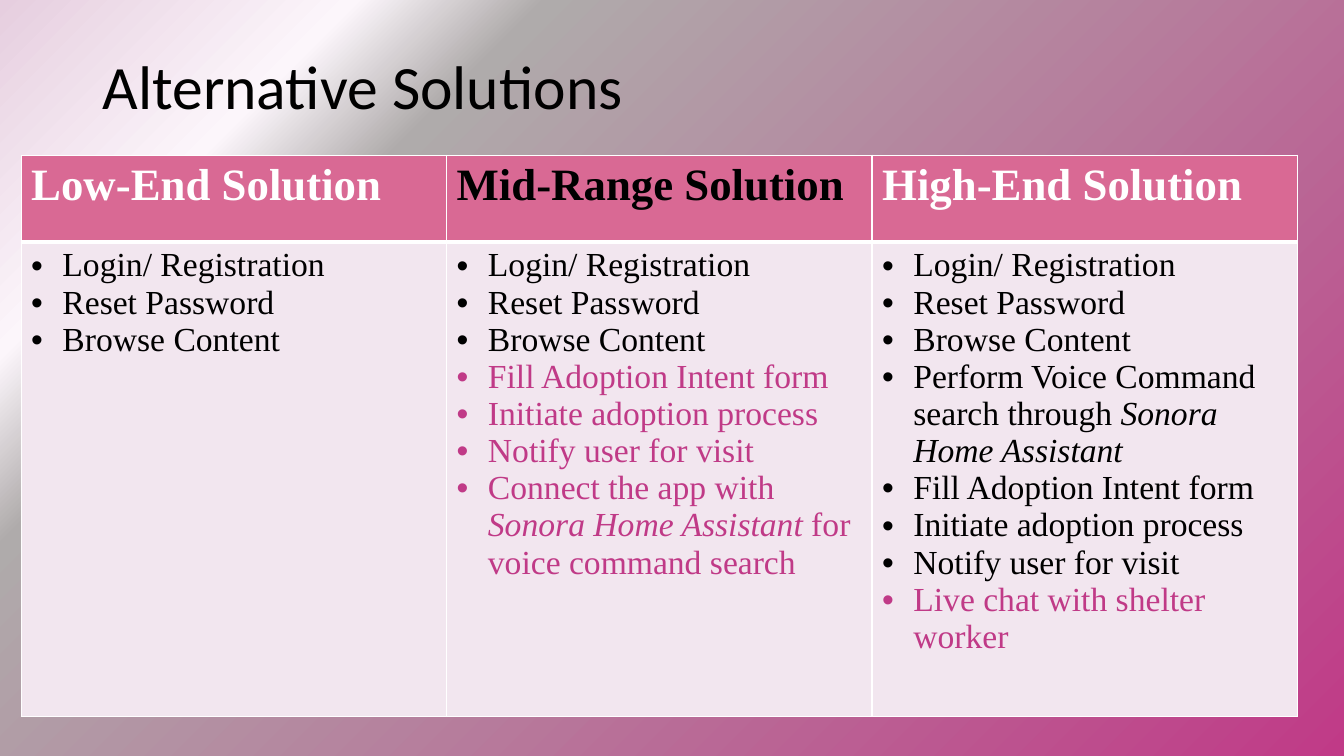
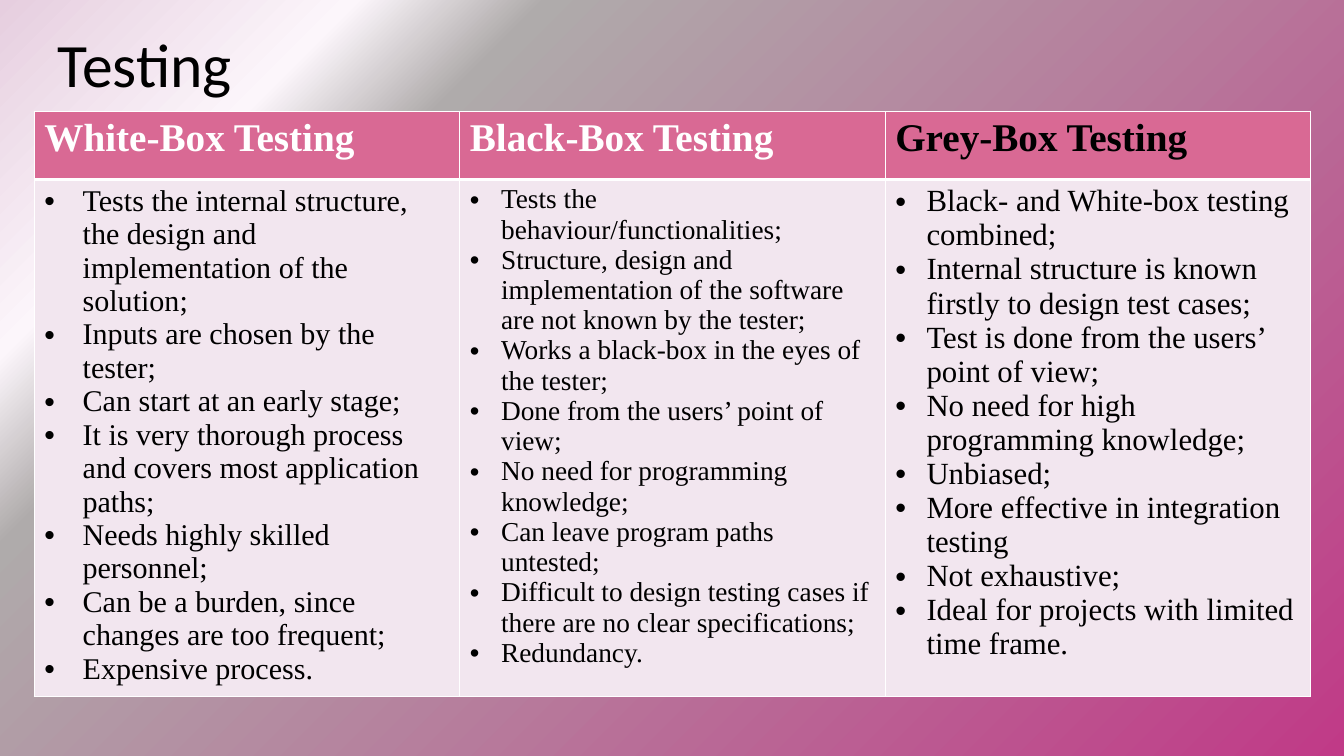
from dataclasses import dataclass

from pptx import Presentation
from pptx.dml.color import RGBColor
from pptx.enum.text import MSO_ANCHOR, MSO_AUTO_SIZE, PP_ALIGN
from pptx.oxml import parse_xml
from pptx.oxml.ns import nsdecls
from pptx.util import Inches, Pt

LEFT = PP_ALIGN.LEFT
MIDDLE = MSO_ANCHOR.MIDDLE
NO_FIT = MSO_AUTO_SIZE.NONE

BLACK, WHITE, MAGENTA = "000000", "FFFFFF", "C03A87"
HEADER_FILL, BODY_FILL = "D96994", "F2E6EF"
GRADIENT = [(0, MAGENTA, 38), (74, "AFABAB", 100), (83, "FCF6FB", 100), (100, "E6CEDF", 100)]
TITLE_ONLY = 5
TITLE_SIZE = (11.5, 1.45)
COLUMN_WIDTH = 4.22
TITLE_FORMAT = {"name": "Calibri", "size": Pt(44), "bold": False}
CELL_FORMAT = {"name": "Times New Roman"}
ASSISTANT = "Sonora Home Assistant"


@dataclass
class Column:
    heading: str
    items: list[str]
    size: float = 24
    indent: float = 0.31
    chosen: bool = False
    new_items: tuple[str, ...] = ()


@dataclass
class TableSlide:
    title: str
    title_at: tuple[float, float]
    table_at: tuple[float, float]
    row_heights: tuple[float, float]
    heading_size: float
    columns: list[Column]


ACCOUNT = ["Login/ Registration", "Reset Password", "Browse Content"]
ADOPTION = ["Fill Adoption Intent form", "Initiate adoption process", "Notify user for visit"]
VOICE = f"Connect the app with {ASSISTANT} for voice command search"
CHAT = "Live chat with shelter worker"

SLIDES = [
    TableSlide("Alternative Solutions", (0.92, 0.16), (0.21, 1.54), (0.86, 4.71), 32, [
        Column("Low-End Solution", ACCOUNT),
        Column("Mid-Range Solution", [*ACCOUNT, *ADOPTION, VOICE],
               chosen=True, new_items=(*ADOPTION, VOICE)),
        Column("High-End Solution",
               [*ACCOUNT, f"Perform Voice Command search through {ASSISTANT}", *ADOPTION, CHAT],
               new_items=(CHAT,)),
    ]),
    TableSlide("Testing", (0.47, -0.05), (0.34, 1.11), (0.67, 5.13), 28, [
        Column("White-Box Testing", [
            "Tests the internal structure, the design and implementation of the solution;",
            "Inputs are chosen by the tester;",
            "Can start at an early stage;",
            "It is very thorough process and covers most application paths;",
            "Needs highly skilled personnel;",
            "Can be a burden, since changes are too frequent;",
            "Expensive process.",
        ], size=21.5, indent=0.38),
        Column("Black-Box Testing", [
            "Tests the behaviour/functionalities;",
            "Structure, design and implementation of the software are not known by the tester;",
            "Works a black-box in the eyes of the tester;",
            "Done from the users’ point of view;",
            "No need for programming knowledge;",
            "Can leave program paths untested;",
            "Difficult to design testing cases if there are no clear specifications;",
            "Redundancy.",
        ], size=19.5),
        Column("Grey-Box Testing", [
            "Black- and White-box testing combined;",
            "Internal structure is known firstly to design test cases;",
            "Test is done from the users’ point of view;",
            "No need for high programming knowledge;",
            "Unbiased;",
            "More effective in integration testing",
            "Not exhaustive;",
            "Ideal for projects with limited time frame.",
        ], size=22, chosen=True),
    ]),
]


def rgb(color: str) -> RGBColor:
    return RGBColor.from_string(color)


def add_run(p, text: str, color: str, formats: dict) -> None:
    r = p.add_run()
    r.text = text
    r.font.color.rgb = rgb(color)
    for name, value in formats.items():
        setattr(r.font, name, value)


def set_background(master) -> None:
    """Give the master a gradient that spreads in circles from the bottom right corner."""
    master.background.fill.solid()
    fill = master.element.xpath("./p:cSld/p:bg/p:bgPr/a:solidFill")[0]
    stops = "".join(
        f'<a:gs pos="{pos * 1000}"><a:srgbClr val="{color}">'
        f'<a:alpha val="{alpha * 1000}"/></a:srgbClr></a:gs>'
        for pos, color, alpha in GRADIENT)
    fill.getparent().replace(fill, parse_xml(
        f'<a:gradFill {nsdecls("a")} rotWithShape="1"><a:gsLst>{stops}</a:gsLst>'
        '<a:path path="circle"><a:fillToRect l="100000" t="100000"/></a:path></a:gradFill>'))


def style_cell(cell, fill: str, top: float, bottom: float) -> None:
    """Fill the cell and give it white borders; top and bottom are widths in points."""
    cell.fill.solid()
    cell.fill.fore_color.rgb = rgb(fill)
    tc_pr = cell._tc.get_or_add_tcPr()
    for i, (side, width) in enumerate({"L": 1, "R": 1, "T": top, "B": bottom}.items()):
        tc_pr.insert(i, parse_xml(
            f'<a:ln{side} {nsdecls("a")} w="{Pt(width)}"><a:solidFill>'
            f'<a:srgbClr val="{WHITE}"/></a:solidFill></a:ln{side}>'))


def add_bullet(p, indent: float) -> None:
    p_pr = p._p.get_or_add_pPr()
    p_pr.set("marL", str(Inches(indent)))
    p_pr.set("indent", str(-Inches(indent)))
    p_pr.append(parse_xml(f'<a:buFont {nsdecls("a")} typeface="Arial"/>'))
    p_pr.append(parse_xml(f'<a:buChar {nsdecls("a")} char="•"/>'))


def fill_heading(cell, column: Column, size: float) -> None:
    style_cell(cell, HEADER_FILL, top=1, bottom=3)
    add_run(cell.text_frame.paragraphs[0], column.heading, BLACK if column.chosen else WHITE,
            CELL_FORMAT | {"size": Pt(size), "bold": True})


def fill_items(cell, column: Column) -> None:
    """List the column's items, with the assistant's name in italics."""
    style_cell(cell, BODY_FILL, top=3, bottom=1)
    tf = cell.text_frame
    for i, item in enumerate(column.items):
        p = tf.add_paragraph() if i else tf.paragraphs[0]
        add_bullet(p, column.indent)
        color = MAGENTA if item in column.new_items else BLACK
        for part in filter(None, item.partition(ASSISTANT)):
            add_run(p, part, color, CELL_FORMAT | {
                "size": Pt(column.size), "bold": False, "italic": part == ASSISTANT})


def add_title(s, text: str, at: tuple[float, float]) -> None:
    title = s.shapes.title
    title.left, title.top, title.width, title.height = map(Inches, (*at, *TITLE_SIZE))
    tf = title.text_frame
    tf.auto_size = NO_FIT
    tf.word_wrap = True
    tf.vertical_anchor = MIDDLE
    p = tf.paragraphs[0]
    p.alignment = LEFT
    p.line_spacing = 0.9
    add_run(p, text, BLACK, TITLE_FORMAT)


def add_table(s, content: TableSlide) -> None:
    count = len(content.columns)
    size = (COLUMN_WIDTH * count, sum(content.row_heights))
    table = s.shapes.add_table(2, count, *map(Inches, (*content.table_at, *size))).table
    table.first_row = table.horz_banding = False
    for row, height in zip(table.rows, content.row_heights):
        row.height = Inches(height)
    for i, column in enumerate(content.columns):
        table.columns[i].width = Inches(COLUMN_WIDTH)
        fill_heading(table.cell(0, i), column, content.heading_size)
        fill_items(table.cell(1, i), column)


def main() -> None:
    prs = Presentation()
    prs.slide_width, prs.slide_height = Inches(13.33), Inches(7.5)
    set_background(prs.slide_master)
    for content in SLIDES:
        s = prs.slides.add_slide(prs.slide_layouts[TITLE_ONLY])
        add_title(s, content.title, content.title_at)
        add_table(s, content)
    prs.save("out.pptx")


if __name__ == "__main__":
    main()
